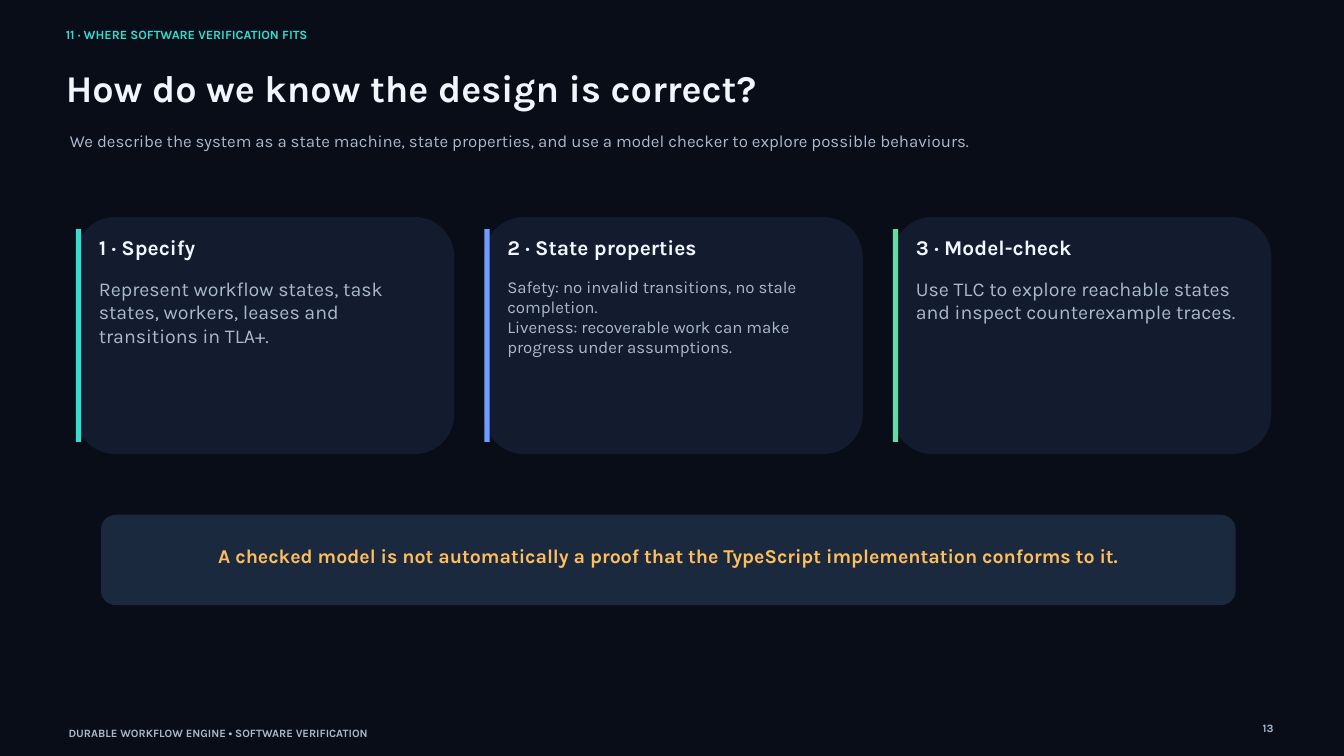
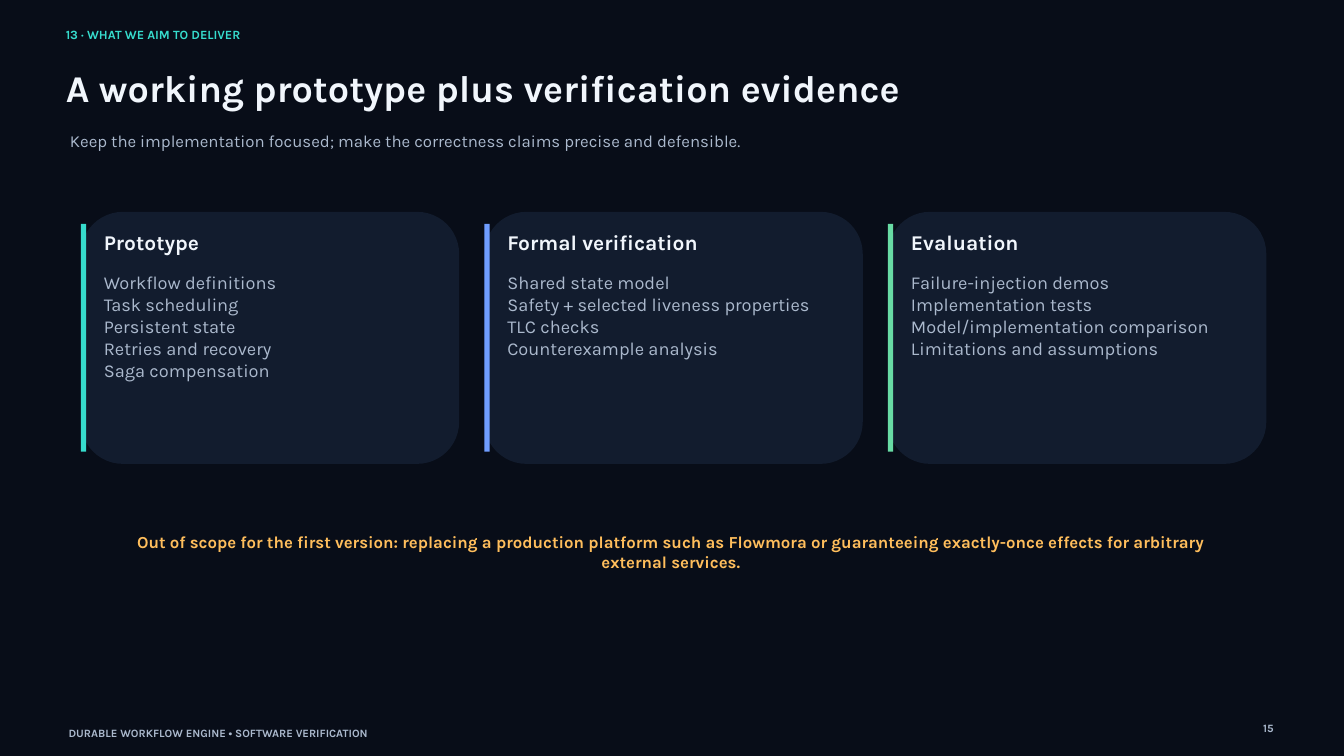
from pptx import Presentation
from pptx.dml.color import RGBColor
from pptx.enum.shapes import MSO_SHAPE
from pptx.enum.text import PP_ALIGN
from pptx.util import Pt

FONT = "Karla"
BACKGROUND = "080D18"
CARD = "121C2E"
BANNER = "1B293F"
WHITE = "F1F6FC"
GREY = "ABB9CD"
TEAL = "36DCCD"
BLUE = "6F9DFF"
GREEN = "68DBA4"
AMBER = "FFBE5C"

CARD_WIDTH = 405.4
MIDDLE_CARD_LEFT = 519
FOOTER = "DURABLE WORKFLOW ENGINE • SOFTWARE VERIFICATION"


def color(hex_string):
    return RGBColor.from_string(hex_string)


def add_text(slide, lines, left, top, width, height, size, text_color,
             bold=False, align=PP_ALIGN.LEFT):
    """Add a text box without margins, one paragraph per line."""
    box = slide.shapes.add_textbox(Pt(left), Pt(top), Pt(width), Pt(height))
    frame = box.text_frame
    frame.word_wrap = True
    frame.margin_left = frame.margin_right = 0
    frame.margin_top = frame.margin_bottom = 0
    frame.text = "\n".join(lines)
    for paragraph in frame.paragraphs:
        paragraph.alignment = align
        paragraph.line_spacing = Pt(size * 1.2)
        for run in paragraph.runs:
            run.font.name = FONT
            run.font.size = Pt(size)
            run.font.bold = bold
            run.font.color.rgb = color(text_color)


def add_block(slide, kind, left, top, width, height, fill):
    shape = slide.shapes.add_shape(kind, Pt(left), Pt(top), Pt(width), Pt(height))
    shape.shadow.inherit = False
    shape.fill.solid()
    shape.fill.fore_color.rgb = color(fill)
    shape.line.fill.background()


def add_base_slide(presentation, section, title, subtitle, number):
    """Add a slide with the background, headings and footer that all slides share."""
    slide = presentation.slides.add_slide(presentation.slide_layouts[6])
    slide.background.fill.solid()
    slide.background.fill.fore_color.rgb = color(BACKGROUND)
    add_text(slide, [section], 70.5, 29, 1290, 22, 13.5, TEAL, bold=True)
    add_text(slide, [title], 70.5, 69.5, 1301, 63, 40.5, WHITE, bold=True)
    add_text(slide, [subtitle], 75, 140.4, 1290, 42, 18, GREY)
    add_text(slide, [FOOTER], 73.5, 778, 1074, 14.4, 12, GREY, bold=True)
    add_text(slide, [str(number)], 1322, 772.5, 42.5, 16.5, 12, GREY,
             bold=True, align=PP_ALIGN.RIGHT)
    return slide


def add_card(slide, left, top, height, accent, heading, lines, size):
    add_block(slide, MSO_SHAPE.ROUNDED_RECTANGLE, left, top, CARD_WIDTH, height, CARD)
    add_block(slide, MSO_SHAPE.RECTANGLE, left, top + 13, 5.6, height - 26, accent)
    text_left = left + 24.6
    add_text(slide, [heading], text_left, top + 19, 355.7, 34, 22.5, WHITE, bold=True)
    add_text(slide, lines, text_left, top + 64, 355.7, height - 77, size, GREY)


def add_card_row(slide, top, height, pitch, cards):
    """Spread three cards evenly around the fixed middle card."""
    for index, (accent, card) in enumerate(zip((TEAL, BLUE, GREEN), cards)):
        left = MIDDLE_CARD_LEFT + (index - 1) * pitch
        add_card(slide, left, top, height, accent, *card)


def add_design_slide(presentation):
    slide = add_base_slide(
        presentation, "11 · WHERE SOFTWARE VERIFICATION FITS",
        "How do we know the design is correct?",
        "We describe the system as a state machine, state properties, "
        "and use a model checker to explore possible behaviours.", 13)
    add_card_row(slide, 232.5, 254, 437.7, [
        ("1 · Specify",
         ["Represent workflow states, task states, workers, leases "
          "and transitions in TLA+."], 21),
        ("2 · State properties",
         ["Safety: no invalid transitions, no stale completion.",
          "Liveness: recoverable work can make progress under assumptions."], 18),
        ("3 · Model-check",
         ["Use TLC to explore reachable states and inspect "
          "counterexample traces."], 21),
    ])
    add_block(slide, MSO_SHAPE.ROUNDED_RECTANGLE, 108, 551.5, 1216, 97, BANNER)
    add_text(slide, ["A checked model is not automatically a proof that the "
                     "TypeScript implementation conforms to it."],
             138.2, 582.5, 1155.6, 30, 21, AMBER, bold=True, align=PP_ALIGN.CENTER)


def add_delivery_slide(presentation):
    slide = add_base_slide(
        presentation, "13 · WHAT WE AIM TO DELIVER",
        "A working prototype plus verification evidence",
        "Keep the implementation focused; make the correctness claims "
        "precise and defensible.", 15)
    add_card_row(slide, 227, 270, 432.4, [
        ("Prototype",
         ["Workflow definitions", "Task scheduling", "Persistent state",
          "Retries and recovery", "Saga compensation"], 19.5),
        ("Formal verification",
         ["Shared state model", "Safety + selected liveness properties",
          "TLC checks", "Counterexample analysis"], 19.5),
        ("Evaluation",
         ["Failure-injection demos", "Implementation tests",
          "Model/implementation comparison", "Limitations and assumptions"], 19.5),
    ])
    add_text(slide, ["Out of scope for the first version: replacing a production "
                     "platform such as Flowmora or guaranteeing exactly-once "
                     "effects for arbitrary external services."],
             111.5, 569.5, 1214.6, 62, 18, AMBER, bold=True, align=PP_ALIGN.CENTER)


def main():
    presentation = Presentation()
    presentation.slide_width = Pt(1440)
    presentation.slide_height = Pt(810)
    add_design_slide(presentation)
    add_delivery_slide(presentation)
    presentation.save("out.pptx")


if __name__ == "__main__":
    main()
